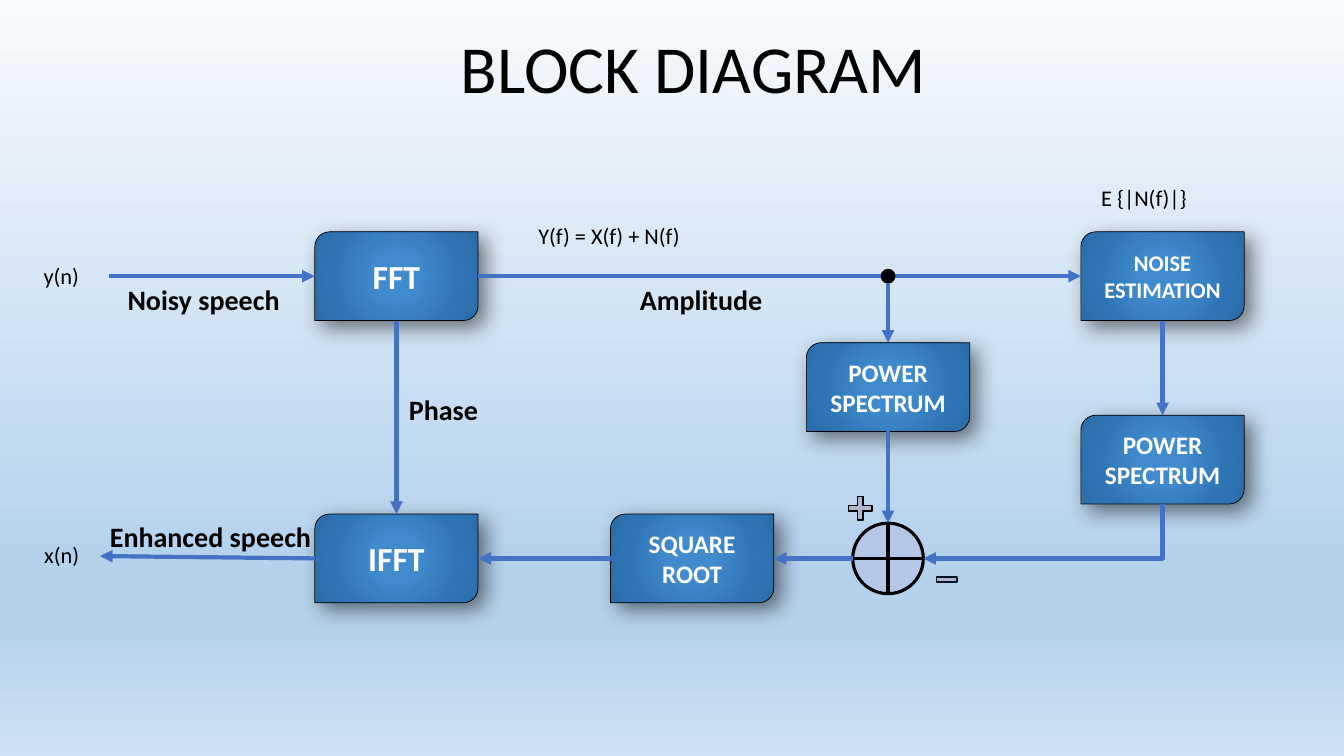
from lxml.etree import SubElement
from pptx import Presentation
from pptx.dml.color import RGBColor
from pptx.enum.shapes import MSO_CONNECTOR as Line, MSO_SHAPE as Shape
from pptx.enum.text import MSO_ANCHOR as Anchor, PP_ALIGN as Align
from pptx.oxml.ns import qn
from pptx.util import Inches, Pt

COLORS = {
    "ink": "000000", "white": "FFFFFF", "arrow": "4472C4", "adder": "B4C7E7",
    "sign": "ADB9CA", "minus_edge": "051222",
    "block_light": "408BCE", "block_mid": "2E75B6", "block_dark": "2B6DA9",
    "sky_top": "F7FAFD", "sky_deep": "B5D2EC", "sky_low": "CEE1F2",
}
SKY = [(0, "sky_top"), (74, "sky_deep"), (83, "sky_deep"), (100, "sky_low")]
BLOCK = [(0, "block_light"), (23, "block_light"), (69, "block_mid"), (97, "block_dark")]
COLUMNS, ROWS = 160, 90
TOP, LEFT, BOTTOM, RIGHT = range(4)
ROUND_SITES = (0, 2, 4, 6)
BLOCK_SITES = (3, 2, 1, 0)


def element(parent, tag, **attributes):
    return SubElement(parent, qn(tag), {name: str(value) for name, value in attributes.items()})


class Diagram:
    font = "Calibri"
    block_size = (19.44, 10.56)

    def __init__(self, presentation):
        self.column = presentation.slide_width / COLUMNS
        self.row = presentation.slide_height / ROWS
        self.slide = presentation.slides.add_slide(presentation.slide_layouts[6])
        self.shapes = self.slide.shapes

    def place(self, *lengths):
        return [round(length * (self.row if index % 2 else self.column))
                for index, length in enumerate(lengths)]

    def color(self, name):
        return RGBColor.from_string(COLORS[name])

    def gradient(self, fill, owner, stops, circular=False):
        fill.gradient()
        gradient = owner.find(".//" + qn("a:gradFill"))
        for child in list(gradient):
            gradient.remove(child)
        stop_list = element(gradient, "a:gsLst")
        for position, name in stops:
            stop = element(stop_list, "a:gs", pos=position * 1000)
            element(stop, "a:srgbClr", val=COLORS[name])
        if circular:
            center = element(gradient, "a:path", path="circle")
            element(center, "a:fillToRect", l=50000, t=50000, r=50000, b=50000)
        else:
            element(gradient, "a:lin", ang=5400000, scaled=0)

    def background(self, stops):
        self.gradient(self.slide.background.fill, self.slide.element, stops)

    def lettering(self, frame, text, size, color, bold, align):
        paragraph = frame.paragraphs[0]
        paragraph.alignment = align
        run = paragraph.add_run()
        run.text = text
        run.font.name, run.font.size, run.font.bold = self.font, Pt(size), bold
        run.font.color.rgb = self.color(color)
        return paragraph

    def text(self, text, box, size, bold=False, align=Align.LEFT, wrap=True):
        frame = self.shapes.add_textbox(*self.place(*box)).text_frame
        frame.word_wrap = wrap
        return self.lettering(frame, text, size, "ink", bold, align)

    def shape(self, kind, center, size, line_width, fill=None, line="ink", adjust=None):
        (x, y), (width, height) = center, size
        box = self.place(x - width / 2, y - height / 2, width, height)
        shape = self.shapes.add_shape(kind, *box)
        shape.shadow.inherit = False
        shape.line.color.rgb = self.color(line)
        shape.line.width = Pt(line_width)
        if fill:
            shape.fill.solid()
            shape.fill.fore_color.rgb = self.color(fill)
        if adjust:
            shape.adjustments[0] = adjust
        return shape

    def block(self, text, center, size):
        shape = self.shape(Shape.ROUND_2_DIAG_RECTANGLE, center, self.block_size, 0.5)
        properties = shape.element.spPr
        self.gradient(shape.fill, properties, BLOCK, circular=True)
        shadow = element(properties.find(qn("a:effectLst")), "a:outerShdw", blurRad=Pt(15),
                         dist=Pt(7), dir=2700000, algn="tl", rotWithShape=0)
        shade = element(shadow, "a:srgbClr", val=COLORS["ink"])
        element(shade, "a:alpha", val=50000)
        frame = shape.text_frame
        frame.word_wrap = True
        frame.vertical_anchor = Anchor.MIDDLE
        self.lettering(frame, text, size, "white", True, Align.CENTER)
        return shape

    def connector(self, kind, start, end):
        connector = self.shapes.add_connector(kind, *self.place(*start, *end))
        connector.line.color.rgb = self.color("arrow")
        connector.line.width = Pt(3)
        properties = connector.element.spPr
        element(properties.find(qn("a:ln")), "a:tailEnd", type="triangle")
        element(properties, "a:effectLst")
        return connector

    def arrow(self, start, end):
        points = [stop if isinstance(stop[0], (int, float)) else (0, 0) for stop in (start, end)]
        connector = self.connector(Line.STRAIGHT, *points)
        joins = (start, connector.begin_connect, "a:stCxn"), (end, connector.end_connect, "a:endCxn")
        for stop, join, tag in joins:
            if isinstance(stop[0], (int, float)):
                continue
            shape, side = stop
            join(shape, side)
            is_block = shape.auto_shape_type == Shape.ROUND_2_DIAG_RECTANGLE
            sites = BLOCK_SITES if is_block else ROUND_SITES
            connector.element.find(".//" + qn(tag)).set("idx", str(sites[side]))

    def corner_arrow(self, start, end):
        (x1, y1), (x2, y2) = start, end
        middle_x, middle_y = (x1 + x2) / 2, (y1 + y2) / 2
        half_width, half_height = (y2 - y1) / 2, (x1 - x2) / 2
        connector = self.connector(Line.ELBOW, (middle_x - half_width, middle_y - half_height),
                                   (middle_x + half_width, middle_y + half_height))
        properties = connector.element.spPr
        properties.find(qn("a:xfrm")).set("rot", "5400000")
        properties.find(qn("a:prstGeom")).set("prst", "bentConnector2")


def main():
    presentation = Presentation()
    presentation.slide_width, presentation.slide_height = Inches(13.33), Inches(7.5)
    diagram = Diagram(presentation)
    diagram.background(SKY)
    title = diagram.text("BLOCK DIAGRAM", (46.7, 3.6, 71.8, 17.4), 48, align=Align.CENTER)
    title.line_spacing = 0.9

    fft_x, root_x, adder_x, noise_x = 47.2, 82.4, 105.72, 138.4
    upper, lower = 32.88, 66.48
    fft = diagram.block("FFT", (fft_x, upper), 24)
    root = diagram.block("SQUARE ROOT", (root_x, lower), 18)
    signal_power = diagram.block("POWER SPECTRUM", (adder_x, 46.08), 18)
    ifft = diagram.block("IFFT", (fft_x, lower), 24)
    noise_power = diagram.block("POWER SPECTRUM", (noise_x, 54.72), 18)
    noise = diagram.block("NOISE ESTIMATION", (noise_x, upper), 16)
    adder = diagram.shape(Shape.FLOWCHART_OR, (adder_x, lower), (8.4, 8.4), 2.25, "adder")

    diagram.arrow((fft, RIGHT), (noise, LEFT))
    dot = diagram.shape(Shape.OVAL, (adder_x, upper), (1.6, 1.6), 1, "ink")
    for start, end in [
        ((13, upper), (fft, LEFT)),
        ((fft, BOTTOM), (ifft, TOP)),
        ((dot, BOTTOM), (signal_power, TOP)),
        ((signal_power, BOTTOM), (adder, TOP)),
        ((noise, BOTTOM), (noise_power, TOP)),
        ((adder, LEFT), (root, RIGHT)),
        ((root, LEFT), (ifft, RIGHT)),
        ((ifft, LEFT), (11.9, 66.2)),
    ]:
        diagram.arrow(start, end)
    diagram.corner_arrow((noise_x, 60), (adder_x + 4.2, lower))

    diagram.shape(Shape.MATH_PLUS, (102.4, 60.5), (3.84, 3.84), 1, "sign", adjust=0.17)
    diagram.shape(Shape.MATH_MINUS, (112.7, 69), (3.36, 3.36), 1, "sign", "minus_edge", 0.17)

    for text, box in [
        ("Noisy speech", (14, 33, 20.6, 5.3)),
        ("Phase", (47.5, 46.1, 10.7, 5.3)),
        ("Enhanced speech", (11.9, 61.2, 26.6, 5.3)),
        ("Amplitude", (75, 33, 17.2, 5.3)),
    ]:
        diagram.text(text, box, 20, bold=True, wrap=False)
    for text, box, align in [
        ("y(n)", (1.6, 30.6, 11.4, 4.4), Align.CENTER),
        ("Y(f) = X(f) + N(f)", (62.9, 25.9, 29.9, 4.5), Align.LEFT),
        ("E {|N(f)|}", (129.9, 21.3, 18.2, 4.5), Align.LEFT),
        ("x(n)", (0.7, 63.8, 13.3, 4.4), Align.CENTER),
    ]:
        diagram.text(text, box, 16, align=align)
    presentation.save("out.pptx")


if __name__ == "__main__":
    main()
